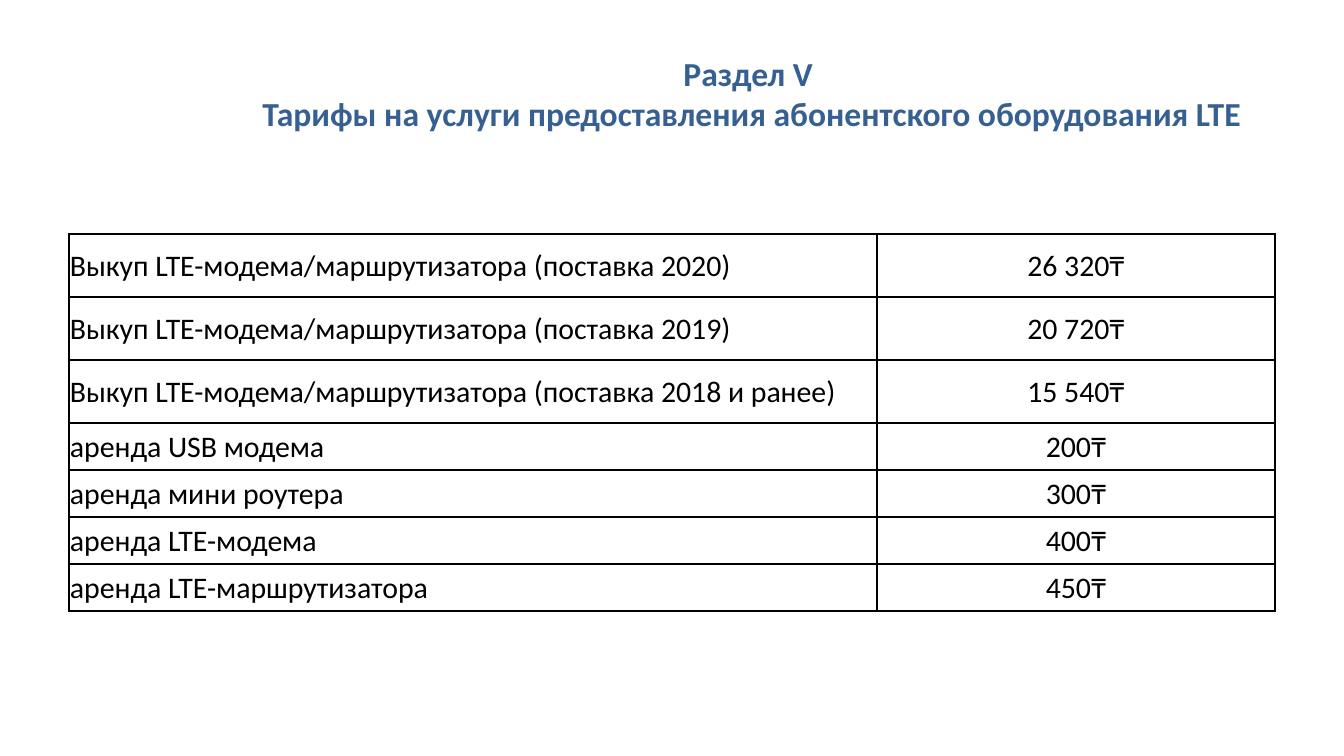
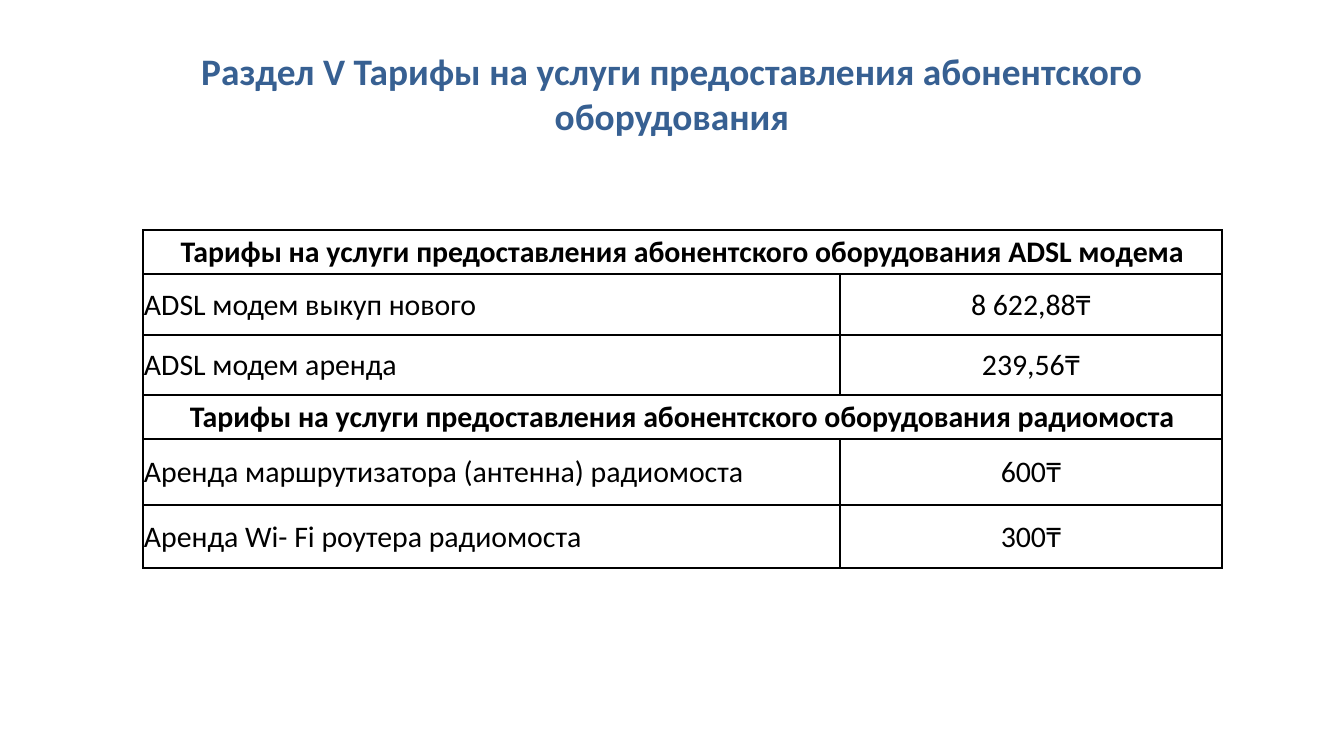
from lxml import etree
from pptx import Presentation
from pptx.dml.color import RGBColor
from pptx.enum.text import MSO_ANCHOR, PP_ALIGN
from pptx.oxml.ns import qn
from pptx.util import Pt

SCALE = 914400 / 134.4
LEFT, CENTER = PP_ALIGN.LEFT, PP_ALIGN.CENTER
MIDDLE = MSO_ANCHOR.MIDDLE
FONT, BLUE, BLACK = "Calibri", "376092", "000000"


def px(n):
    return round(n * SCALE)


def color(code):
    return RGBColor.from_string(code)


class Deck:
    def __init__(self):
        self.prs = Presentation()
        self.prs.slide_width, self.prs.slide_height = px(1344), px(756)
        self.slide = None

    def page(self):
        self.slide = self.prs.slides.add_slide(self.prs.slide_layouts[6])

    def style(self, frame, size, code, bold, align):
        for para in frame.paragraphs:
            para.alignment = align
            for run in para.runs:
                font = run.font
                font.name, font.size, font.bold = FONT, Pt(size), bold
                font.color.rgb = color(code)

    def title(self, text, left, width, size):
        box = self.slide.shapes.add_textbox(px(left), px(30), px(width), px(126))
        frame = box.text_frame
        frame.word_wrap = True
        frame.vertical_anchor = MIDDLE
        frame.text = text
        self.style(frame, size, BLUE, True, CENTER)

    def border(self, cell):
        props = cell._tc.get_or_add_tcPr()
        for spot, side in enumerate(("lnL", "lnR", "lnT", "lnB")):
            line = etree.Element(qn("a:" + side), w=str(Pt(1)))
            fill = etree.SubElement(line, qn("a:solidFill"))
            etree.SubElement(fill, qn("a:srgbClr"), val=BLACK)
            props.insert(spot, line)

    def cell(self, cell, text, bold, align):
        cell.margin_left = cell.margin_right = cell.margin_top = px(1)
        cell.margin_bottom = 0
        cell.vertical_anchor = MIDDLE
        cell.fill.background()
        self.border(cell)
        cell.text_frame.text = text
        self.style(cell.text_frame, 16, BLACK, bold, align)

    def table(self, left, top, cols, rows):
        """Each row is height, label, price; a row without price is a heading."""
        high = sum(row[0] for row in rows)
        grid = self.slide.shapes.add_table(
            len(rows), len(cols), px(left), px(top), px(sum(cols)), px(high)).table
        grid.first_row = grid.horz_banding = False
        for col, width in zip(grid.columns, cols):
            col.width = px(width)
        for i, (height, label, price) in enumerate(rows):
            grid.rows[i].height = px(height)
            name, cost = grid.cell(i, 0), grid.cell(i, 1)
            head = not price
            self.cell(name, label, head, CENTER if head else LEFT)
            self.cell(cost, price, False, CENTER)
            if head:
                name.merge(cost)


deck = Deck()
TOPIC = "Тарифы на услуги предоставления абонентского оборудования"

# LTE equipment
deck.page()
deck.title(f"Раздел V \v{TOPIC} LTE", 227, 1050, 18)
BUY = "Выкуп LTE-модема/маршрутизатора (поставка {}) "
sales = [("2020", "26 320₸"), ("2019", "20 720₸"), ("2018 и ранее", "15 540₸")]
rents = [("USB модема", "200₸"), ("мини роутера", "300₸"),
         ("LTE-модема ", "400₸"), ("LTE-маршрутизатора", "450₸")]
deck.table(69, 234, (808, 398),
           [(63, BUY.format(year), price) for year, price in sales]
           + [(47, "аренда " + item, price) for item, price in rents])

# ADSL and radio bridge equipment
deck.page()
deck.title(f"Раздел V {TOPIC}", 67, 1210, 20)
deck.table(143, 230, (697, 382), [
    (44, f"{TOPIC} ADSL модема", ""),
    (61, "ADSL модем выкуп нового", "8 622,88₸"),
    (60, "ADSL модем аренда ", "239,56₸"),
    (44, f"{TOPIC} радиомоста", ""),
    (66, "Аренда маршрутизатора (антенна) радиомоста", "600₸"),
    (63, "Аренда Wi- Fi роутера радиомоста", "300₸"),
])

deck.prs.save("out.pptx")
